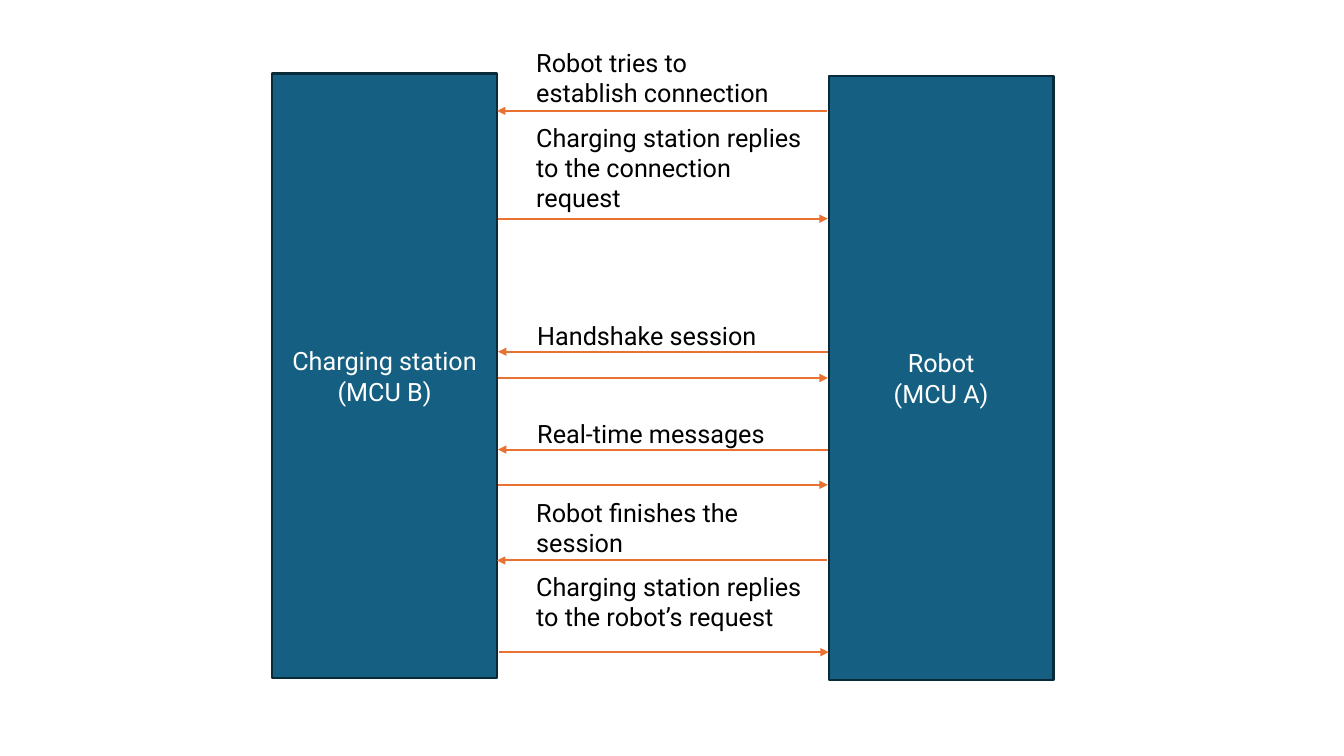
"""Sequence diagram of the messages between a robot and its charging station."""
from dataclasses import dataclass

from lxml.etree import SubElement
from pptx import Presentation
from pptx.dml.color import RGBColor
from pptx.enum.shapes import MSO_CONNECTOR, MSO_SHAPE
from pptx.enum.text import MSO_ANCHOR, MSO_AUTO_SIZE, PP_ALIGN
from pptx.oxml.ns import qn
from pptx.util import Pt

PX = 9144


@dataclass(frozen=True)
class Theme:
    font: str = "Roboto"
    size: int = 18
    line_width: float = 1.5
    box: RGBColor = RGBColor(0x15, 0x60, 0x82)
    border: RGBColor = RGBColor(0x09, 0x2A, 0x39)
    arrow: RGBColor = RGBColor(0xE9, 0x71, 0x32)
    light: RGBColor = RGBColor(0xFF, 0xFF, 0xFF)
    dark: RGBColor = RGBColor(0x00, 0x00, 0x00)


THEME = Theme()

PARTICIPANTS = [
    (270, 73, "Charging station\n(MCU B)"),
    (822, 75, "Robot\n(MCU A)"),
]
LABELS = [
    (522, 42, 269, 71, "Robot tries to establish connection"),
    (522, 116, 286, 101, "Charging station replies to the connection request"),
    (523, 313, 269, 40, "Handshake session"),
    (523, 410, 269, 40, "Real-time messages"),
    (522, 488, 269, 71, "Robot finishes the session"),
    (522, 562, 286, 71, "Charging station replies to the robot’s request"),
]
ARROWS = [
    (820, 493, 110),
    (494, 821, 217),
    (821, 494, 349),
    (494, 821, 375),
    (821, 494, 446),
    (494, 821, 481),
    (820, 493, 556),
    (495, 822, 647),
]


def px(*lengths):
    return [n * PX for n in lengths]


def write_text(tf, text, color, align):
    tf.word_wrap = True
    tf.text = text
    for p in tf.paragraphs:
        p.alignment = align
        for r in p.runs:
            r.font.name = THEME.font
            r.font.size = Pt(THEME.size)
            r.font.color.rgb = color


def add_participant(slide, left, top, text):
    sp = slide.shapes.add_shape(MSO_SHAPE.RECTANGLE, *px(left, top, 223, 600))
    sp.shadow.inherit = False
    sp.fill.solid()
    sp.fill.fore_color.rgb = THEME.box
    sp.line.color.rgb = THEME.border
    sp.line.width = Pt(THEME.line_width)
    sp.text_frame.vertical_anchor = MSO_ANCHOR.MIDDLE
    write_text(sp.text_frame, text, THEME.light, PP_ALIGN.CENTER)


def add_label(slide, left, top, width, height, text):
    sp = slide.shapes.add_textbox(*px(left, top, width, height))
    write_text(sp.text_frame, text, THEME.dark, PP_ALIGN.LEFT)
    sp.text_frame.auto_size = MSO_AUTO_SIZE.SHAPE_TO_FIT_TEXT


def add_arrow(slide, start, end, y):
    cxn = slide.shapes.add_connector(MSO_CONNECTOR.STRAIGHT, *px(start, y, end, y))
    cxn.line.color.rgb = THEME.arrow
    cxn.line.width = Pt(THEME.line_width)
    SubElement(cxn.line._get_or_add_ln(), qn("a:tailEnd"), type="triangle")
    SubElement(cxn._element.spPr, qn("a:effectLst"))


def main():
    prs = Presentation()
    prs.slide_width, prs.slide_height = px(1333, 750)
    slide = prs.slides.add_slide(prs.slide_layouts[6])
    for participant in PARTICIPANTS:
        add_participant(slide, *participant)
    for arrow in ARROWS:
        add_arrow(slide, *arrow)
    for label in LABELS:
        add_label(slide, *label)
    prs.save("out.pptx")


if __name__ == "__main__":
    main()
